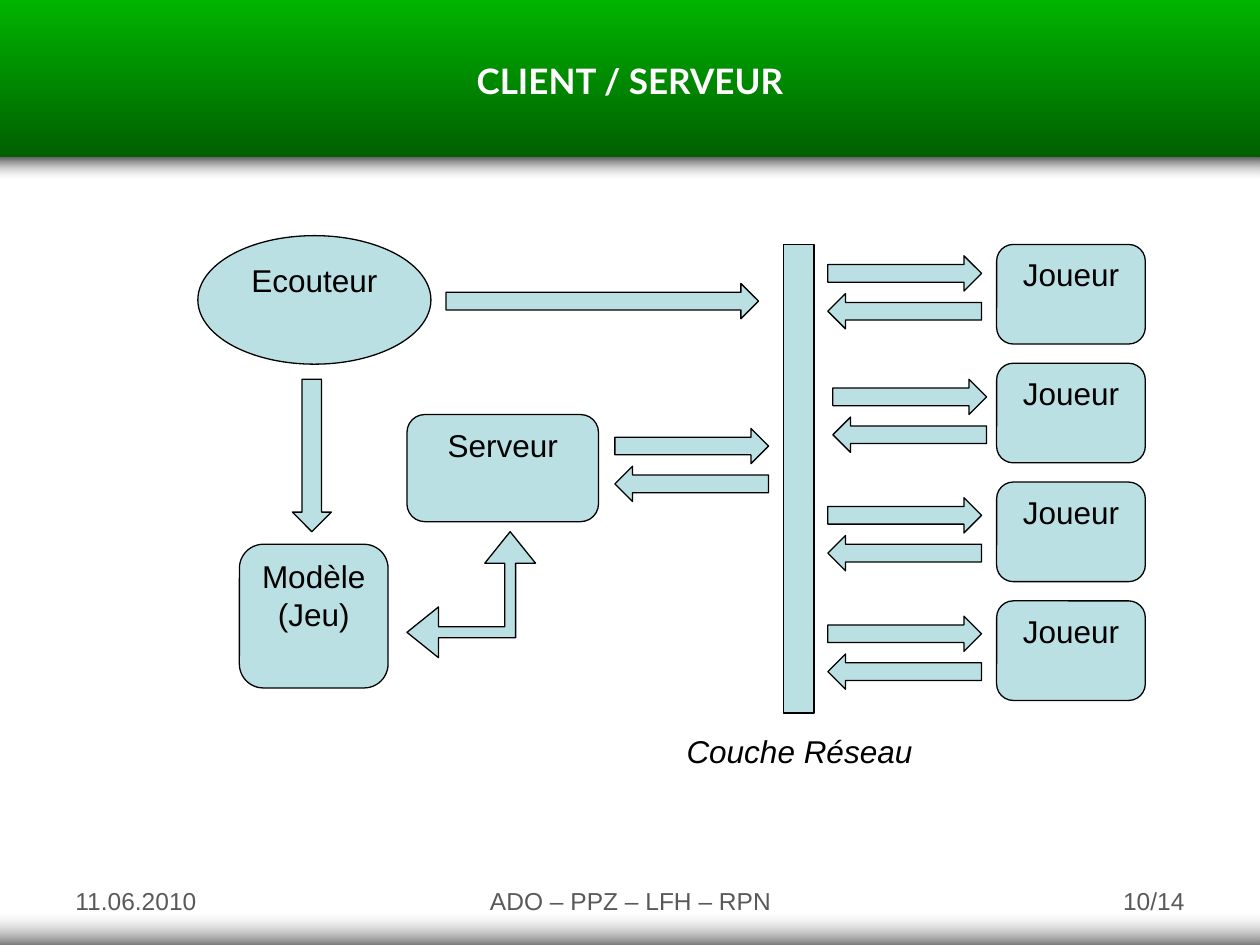
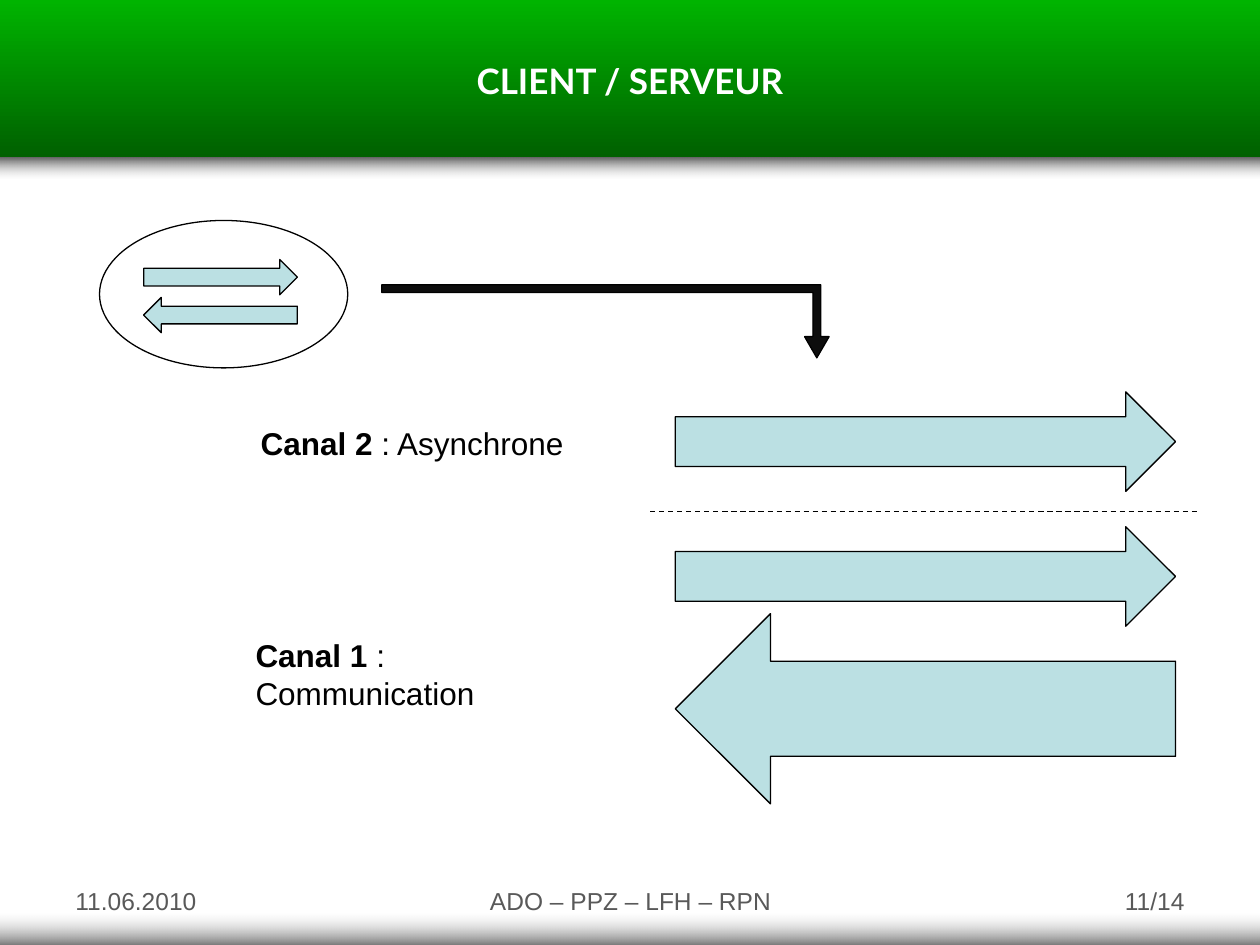
"""Build two slides on the client / server architecture of a game."""
import lxml.etree
import pptx
import pptx.dml.color
import pptx.enum.dml
import pptx.enum.shapes
import pptx.enum.text
import pptx.oxml.ns
import pptx.util

Inches = pptx.util.Inches
SHAPES = pptx.enum.shapes.MSO_SHAPE
ALIGN = pptx.enum.text.PP_ALIGN
qualified = pptx.oxml.ns.qn

COLORS = {
    "green": "00B400",
    "dark_green": "006000",
    "shadow": "5F5F5F",
    "mist": "DDDDDD",
    "base_gray": "767676",
    "footer": "595959",
    "pale_blue": "BBE0E3",
    "ink": "0D0D0D",
    "black": "000000",
    "white": "FFFFFF",
}
BODY = {"size": 18, "name": "Arial", "color": "black"}
FOOTER = {"size": 14, "name": "Arial", "color": "footer"}
TITLE = {"size": 20, "name": "Lato", "color": "white", "bold": True}
PAGE_COUNT = 14


def rgb(name):
    """Return the named colour."""
    return pptx.dml.color.RGBColor.from_string(COLORS[name])


def set_attributes(target, values):
    """Set every attribute listed in a dict of format values."""
    for name, value in values.items():
        setattr(target, name, value)


def write(shape, paragraphs, style, alignment=None):
    """Write paragraphs, each a list of (text, extra format) runs."""
    frame = shape.text_frame
    for index, runs in enumerate(paragraphs):
        paragraph = frame.paragraphs[0] if index == 0 else frame.add_paragraph()
        paragraph.alignment = alignment
        for text, extra in runs:
            run = paragraph.add_run()
            run.text = text
            values = {**style, **extra}
            run.font.color.rgb = rgb(values.pop("color"))
            values["size"] = pptx.util.Pt(values["size"])
            set_attributes(run.font, values)


def add_text(slide, box, runs, style, alignment=None, wrap=True, grow=False):
    """Add a one-paragraph text box."""
    sizes = pptx.enum.text.MSO_AUTO_SIZE
    shape = slide.shapes.add_textbox(*map(Inches, box))
    set_attributes(shape.text_frame, {
        "word_wrap": wrap,
        "auto_size": sizes.SHAPE_TO_FIT_TEXT if grow else sizes.NONE,
    })
    write(shape, [runs], style, alignment)


def add_figure(shapes, kind, box, fill="pale_blue", rotation=0, adjustments=()):
    """Add an outlined preset shape, hollow when fill is None."""
    shape = shapes.add_shape(kind, *map(Inches, box))
    shape.shadow.inherit = False
    shape.rotation = rotation
    for index, value in enumerate(adjustments):
        shape.adjustments[index] = value
    if fill:
        shape.fill.solid()
        shape.fill.fore_color.rgb = rgb(fill)
    else:
        shape.fill.background()
    shape.line.color.rgb = rgb("black")
    shape.line.width = pptx.util.Pt(0.75)
    return shape


def add_node(slide, kind, box, *lines):
    """Add a labelled node of the diagram."""
    shape = add_figure(slide.shapes, kind, box)
    shape.text_frame.vertical_anchor = pptx.enum.text.MSO_ANCHOR.TOP
    write(shape, [[(line, {})] for line in lines], BODY, ALIGN.CENTER)


def add_exchange(slide, left, top):
    """Add a grouped pair of opposite arrows."""
    group = slide.shapes.add_group_shape()
    for offset, rotation in ((0, 0), (0.3, 180)):
        box = (left, top + offset, 1.22, 0.28)
        add_figure(group.shapes, SHAPES.RIGHT_ARROW, box, rotation=rotation)


def add_band(slide, top, height, colors, clear_stop=None):
    """Add a full-width vertical gradient, with one stop transparent if given."""
    box = map(Inches, (0, top, 10, height))
    shape = slide.shapes.add_shape(SHAPES.RECTANGLE, *box)
    shape.shadow.inherit = False
    shape.line.fill.background()
    shape.fill.gradient()
    shape.fill.gradient_angle = 270
    for index, (stop, color) in enumerate(zip(shape.fill.gradient_stops, colors)):
        stop.position = index
        stop.color.rgb = rgb(color)
    if clear_stop is not None:
        color_nodes = list(shape.element.iter(qualified("a:srgbClr")))
        alpha = lxml.etree.SubElement(color_nodes[clear_stop], qualified("a:alpha"))
        alpha.set("val", "0")


def add_dashed_line(slide, left, right, height):
    """Add a thin horizontal dashed line."""
    ends = map(Inches, (left, height, right, height))
    line = slide.shapes.add_connector(pptx.enum.shapes.MSO_CONNECTOR.STRAIGHT, *ends)
    line.line.color.rgb = rgb("black")
    set_attributes(line.line, {
        "width": pptx.util.Pt(0.75),
        "dash_style": pptx.enum.dml.MSO_LINE.DASH,
    })
    properties = line.element.find(qualified("p:spPr"))
    lxml.etree.SubElement(properties, qualified("a:effectLst"))


def add_slide(presentation, number):
    """Add a blank slide with the shared bands, title and footers."""
    slide = presentation.slides.add_slide(presentation.slide_layouts[6])
    add_band(slide, 0, 1.25, ("green", "dark_green"))
    add_band(slide, 1.25, 0.17, ("shadow", "mist"), clear_stop=1)
    add_text(slide, (0, 0.42, 10, 0.43), [("CLIENT / SERVEUR", {})], TITLE,
             ALIGN.CENTER, grow=True)
    add_band(slide, 7.25, 0.25, ("mist", "base_gray"), clear_stop=0)
    footers = (
        (0.5, 2.33, "11.06.2010", ALIGN.LEFT),
        (3.42, 3.17, "ADO – PPZ – LFH – RPN", ALIGN.CENTER),
        (7.17, 2.33, f"{number}/{PAGE_COUNT}", ALIGN.RIGHT),
    )
    for left, width, text, alignment in footers:
        add_text(slide, (left, 6.98, width, 0.52), [(text, {})], FOOTER, alignment)
    return slide


def build_architecture(presentation):
    """Show the server, its listener, the model and the players."""
    slide = add_slide(presentation, 10)
    add_node(slide, SHAPES.OVAL, (1.57, 1.87, 1.85, 1.02), "Ecouteur")
    add_node(slide, SHAPES.ROUNDED_RECTANGLE, (3.23, 3.29, 1.52, 0.85), "Serveur")
    add_node(slide, SHAPES.ROUNDED_RECTANGLE, (1.9, 4.32, 1.18, 1.14),
             "Modèle", "(Jeu)")
    for row in range(4):
        box = (7.91, 1.94 + 0.943 * row, 1.18, 0.79)
        add_node(slide, SHAPES.ROUNDED_RECTANGLE, box, "Joueur")

    add_figure(slide.shapes, SHAPES.RECTANGLE, (6.22, 1.94, 0.24, 3.72))
    add_text(slide, (5.35, 5.76, 2.01, 0.4), [("Couche Réseau", {"italic": True})],
             BODY, wrap=False, grow=True)

    exchanges = ((6.57, 2.03), (6.61, 3.01), (6.57, 3.95), (6.57, 4.89), (4.88, 3.4))
    for left, top in exchanges:
        add_exchange(slide, left, top)
    add_figure(slide.shapes, SHAPES.DOWN_ARROW, (2.32, 3.01, 0.31, 1.21))
    add_figure(slide.shapes, SHAPES.RIGHT_ARROW, (3.54, 2.25, 2.48, 0.28))
    add_figure(slide.shapes, SHAPES.LEFT_UP_ARROW, (3.23, 4.22, 1.02, 1),
               adjustments=(0.087, 0.201, 0.25))


def build_channels(presentation):
    """Show the two channels behind each exchange."""
    slide = add_slide(presentation, 11)
    add_figure(slide.shapes, SHAPES.OVAL, (0.79, 1.75, 1.97, 1.17), fill=None)
    add_exchange(slide, 1.14, 2.06)
    zoom_arrow = add_figure(slide.shapes, SHAPES.BENT_UP_ARROW,
                            (3.03, 2.26, 3.55, 0.58), "ink", 180,
                            (0.106, 0.168, 0.291))
    zoom_arrow.element.spPr.find(qualified("a:xfrm")).set("flipH", "1")

    for top, height, rotation in ((3.11, 0.79, 0), (4.87, 1.51, 180), (4.18, 0.79, 0)):
        add_figure(slide.shapes, SHAPES.RIGHT_ARROW, (5.36, top, 3.97, height),
                   rotation=rotation)
    add_dashed_line(slide, 5.16, 9.5, 4.06)

    channels = (
        ((1.97, 3.32, 2.63, 0.4), "Canal 2 ", ": Asynchrone"),
        ((1.93, 5, 3.03, 0.4), "Canal 1 ", ": Communication"),
    )
    for box, name, role in channels:
        add_text(slide, box, [(name, {"bold": True}), (role, {})], BODY,
                 wrap=False, grow=True)


def main():
    """Build and save the presentation."""
    presentation = pptx.Presentation()
    set_attributes(presentation, {
        "slide_width": Inches(10),
        "slide_height": Inches(7.5),
    })
    build_architecture(presentation)
    build_channels(presentation)
    presentation.save("out.pptx")


if __name__ == "__main__":
    main()
